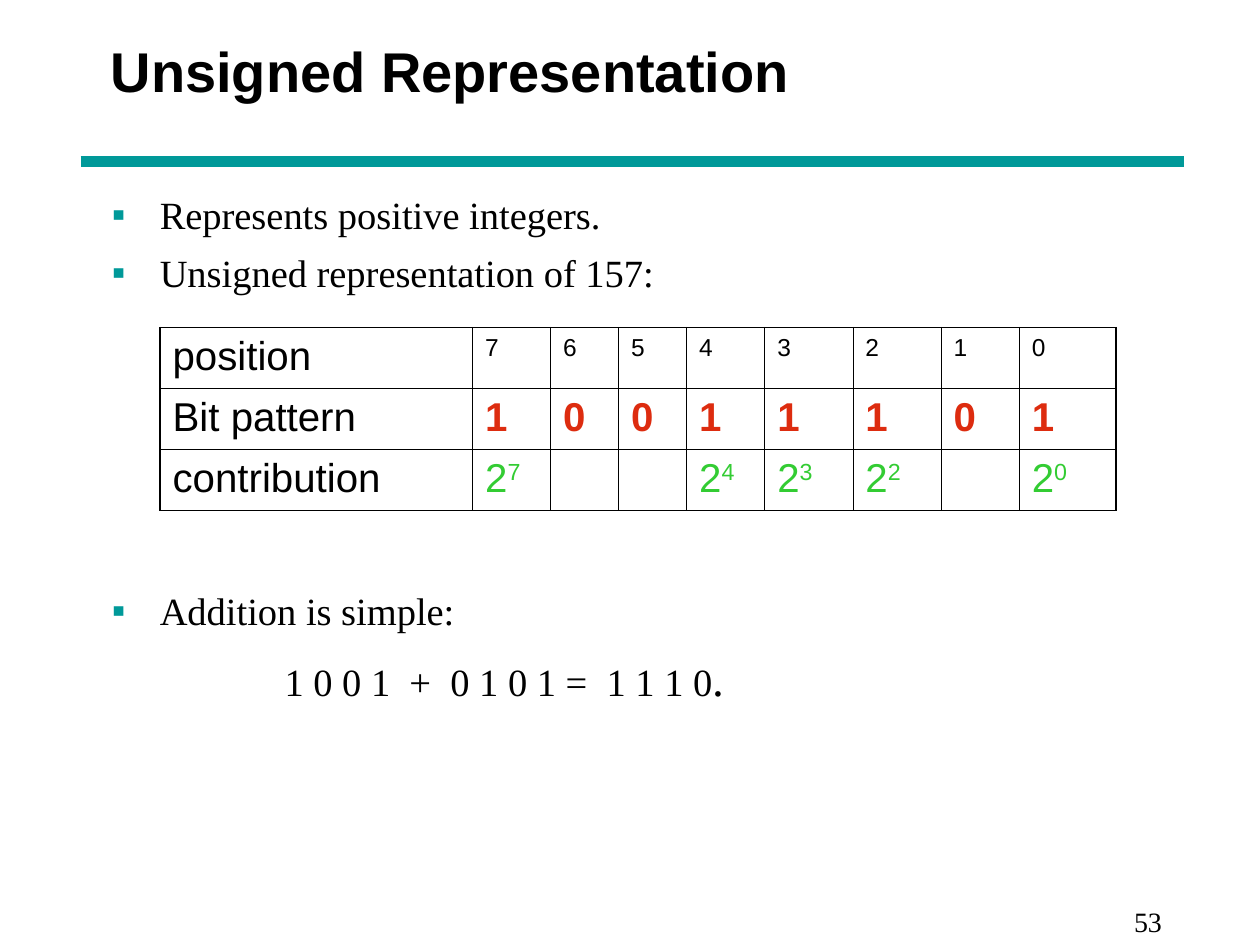
from dataclasses import dataclass

from lxml import etree
from pptx import Presentation
from pptx.dml.color import RGBColor
from pptx.enum.shapes import MSO_CONNECTOR
from pptx.enum.text import MSO_ANCHOR, PP_ALIGN
from pptx.oxml.ns import qn
from pptx.util import Inches, Pt

MIDDLE, TOP = MSO_ANCHOR.MIDDLE, MSO_ANCHOR.TOP
LEFT, RIGHT = PP_ALIGN.LEFT, PP_ALIGN.RIGHT
STRAIGHT = MSO_CONNECTOR.STRAIGHT


@dataclass(frozen=True)
class Theme:
    sans: str = "Arial"
    serif: str = "Times New Roman"
    ink: str = "000000"
    accent: str = "009999"
    bit: str = "DD2C0F"
    power: str = "33CC33"
    title: float = 32
    body: float = 22
    period: float = 27
    cell: float = 23
    position: float = 14
    number: float = 16
    rule: float = 6
    outer: float = 1.08
    inner: float = 0.45


THEME = Theme()

TITLE = "Unsigned Representation"
PAGE_NUMBER = "53"
# text, space before in points
BULLETS = [
    ("Represents positive integers.", 0),
    ("Unsigned representation of 157:", 6.7),
    ("Addition is simple:", 166.7),
]
SUM = "1 0 0 1  +  0 1 0 1 =  1 1 1 0"
SUM_SPACE, SUM_INDENT, BULLET_INDENT = 8.8, 1.37, 0.38

BITS = "10011101"
ROW_LABELS = ["position", "Bit pattern", "contribution"]
COLUMN_WIDTHS = [2.48, 0.62, 0.54, 0.54, 0.62, 0.7, 0.7, 0.62, 0.77]
ROW_HEIGHT = 0.48


def add_run(p, text, size, font, color=THEME.ink, bold=False):
    r = p.add_run()
    r.text = text
    r.font.size, r.font.name, r.font.bold = Pt(size), font, bold
    r.font.color.rgb = RGBColor.from_string(color)
    return r


def add_box(s, left, top, width, height, anchor=TOP):
    sp = s.shapes.add_textbox(*map(Inches, (left, top, width, height)))
    tf = sp.text_frame
    tf.word_wrap, tf.vertical_anchor = True, anchor
    return tf


def set_bullet(p):
    pPr = p._p.get_or_add_pPr()
    pPr.set("marL", str(Inches(BULLET_INDENT)))
    pPr.set("indent", str(-Inches(BULLET_INDENT)))
    color = etree.SubElement(pPr, qn("a:buClr"))
    etree.SubElement(color, qn("a:srgbClr"), val=THEME.accent)
    etree.SubElement(pPr, qn("a:buFont"), typeface=THEME.serif)
    etree.SubElement(pPr, qn("a:buChar"), char="▪")


def set_borders(cell, widths):
    """Draw the cell edges; widths maps L, R, T and B to points."""
    tcPr = cell._tc.get_or_add_tcPr()
    for side, width in widths.items():
        ln = etree.SubElement(tcPr, qn(f"a:ln{side}"), w=str(Pt(width)))
        fill = etree.SubElement(ln, qn("a:solidFill"))
        etree.SubElement(fill, qn("a:srgbClr"), val=THEME.ink)


def add_rule(s):
    line = s.shapes.add_connector(
        STRAIGHT, Inches(0.64), Inches(1.28), Inches(9.4), Inches(1.28))
    line.line.color.rgb = RGBColor.from_string(THEME.accent)
    line.line.width = Pt(THEME.rule)
    etree.SubElement(line._element.spPr, qn("a:effectLst"))


def add_body(s):
    tf = add_box(s, 0.79, 1.47, 8.5, 5.47)
    for i, (text, space) in enumerate(BULLETS):
        p = tf.add_paragraph() if i else tf.paragraphs[0]
        set_bullet(p)
        p.space_before = Pt(space)
        add_run(p, text, THEME.body, THEME.serif)
    p = tf.add_paragraph()
    p._p.get_or_add_pPr().set("marL", str(Inches(SUM_INDENT)))
    p.space_before = Pt(SUM_SPACE)
    add_run(p, SUM, THEME.body, THEME.serif)
    add_run(p, ".", THEME.period, THEME.serif)


def fill_cell(p, row, col):
    if col == 0:
        add_run(p, ROW_LABELS[row], THEME.cell, THEME.sans)
        return
    bit, position = BITS[col - 1], str(len(BITS) - col)
    if row == 0:
        add_run(p, position, THEME.position, THEME.sans)
    elif row == 1:
        add_run(p, bit, THEME.cell, THEME.sans, THEME.bit, bold=True)
    elif bit == "1":
        add_run(p, "2", THEME.cell, THEME.sans, THEME.power)
        r = add_run(p, position, THEME.cell, THEME.sans, THEME.power)
        r.font._element.set("baseline", "30000")


def add_bit_table(s):
    rows, cols = len(ROW_LABELS), len(COLUMN_WIDTHS)
    table = s.shapes.add_table(
        rows, cols, Inches(1.27), Inches(2.6),
        Inches(sum(COLUMN_WIDTHS)), Inches(rows * ROW_HEIGHT)).table
    table.first_row = table.horz_banding = False
    for column, width in zip(table.columns, COLUMN_WIDTHS):
        column.width = Inches(width)
    for row in range(rows):
        table.rows[row].height = Inches(ROW_HEIGHT)
        for col in range(cols):
            cell = table.cell(row, col)
            on_edge = {"L": col == 0, "R": col == cols - 1,
                       "T": row == 0, "B": row == rows - 1}
            set_borders(cell, {side: THEME.outer if edge else THEME.inner
                               for side, edge in on_edge.items()})
            cell.fill.background()
            fill_cell(cell.text_frame.paragraphs[0], row, col)


def add_line_of_text(tf, text, size, font, align=LEFT, bold=False):
    p = tf.paragraphs[0]
    p.alignment = align
    add_run(p, text, size, font, bold=bold)


def main():
    prs = Presentation()
    prs.slide_width, prs.slide_height = Inches(10), Inches(7.5)
    s = prs.slides.add_slide(prs.slide_layouts[6])
    add_rule(s)
    add_line_of_text(add_box(s, 0.78, 0, 8.5, 1.12, MIDDLE),
                     TITLE, THEME.title, THEME.sans, bold=True)
    add_body(s)
    add_bit_table(s)
    add_line_of_text(add_box(s, 7.9, 7.13, 1.42, 0.37),
                     PAGE_NUMBER, THEME.number, THEME.serif, RIGHT)
    prs.save("out.pptx")


if __name__ == "__main__":
    main()
